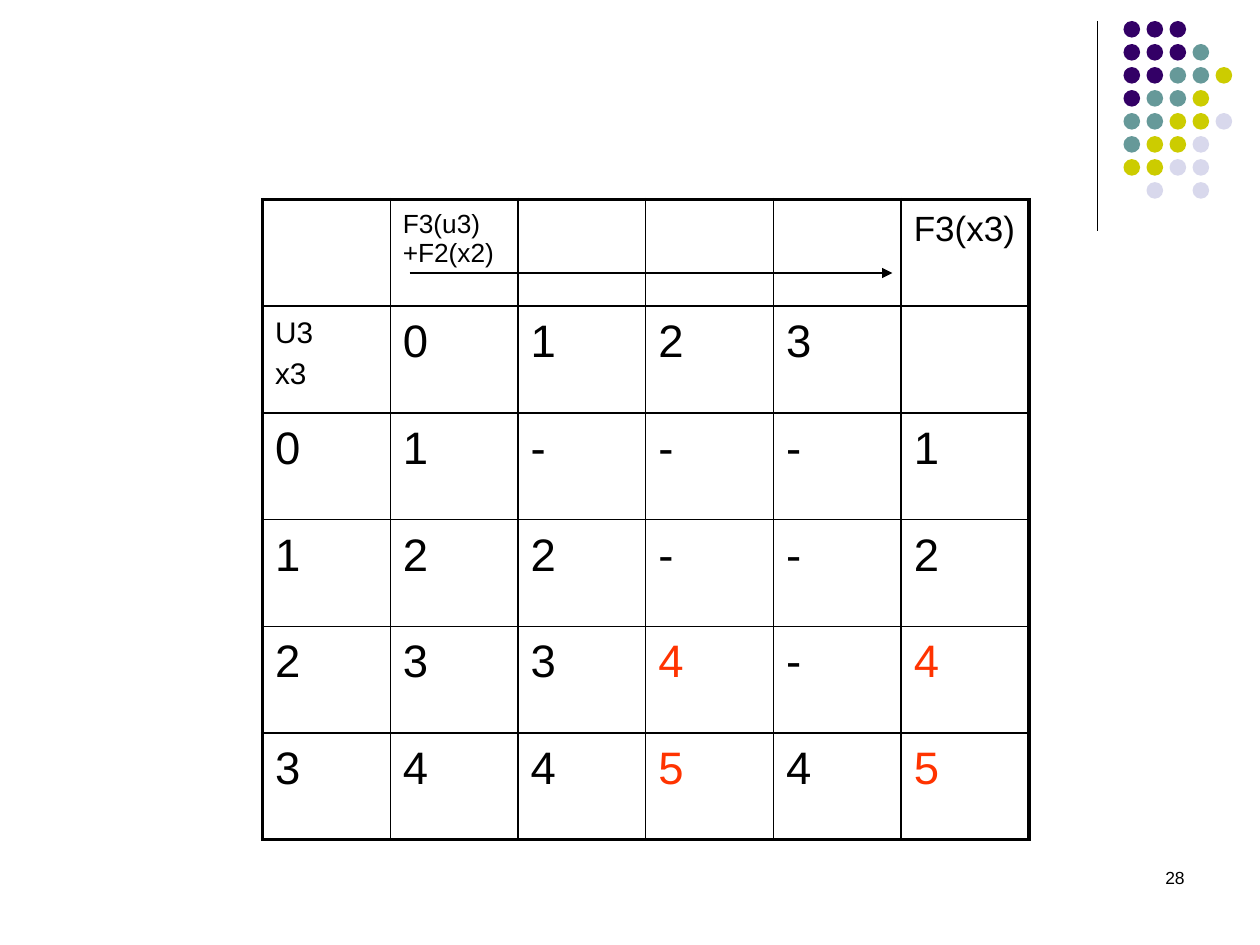
from dataclasses import dataclass
from itertools import product

from lxml.etree import SubElement as Sub
from pptx import Presentation
from pptx.dml.color import RGBColor as RGB
from pptx.enum.shapes import MSO_CONNECTOR as Link, MSO_SHAPE as Shape
from pptx.enum.text import PP_ALIGN as Align
from pptx.oxml.ns import qn
from pptx.util import Pt


@dataclass(frozen=True)
class Theme:
    """Colours, type sizes and line widths of the slide."""
    font: str = "Arial"
    ink: str = "000000"
    mark: str = "FF3300"
    dots: tuple = ("330066", "669999", "CCCC00", "D8D8EC")
    page: int = 10
    body: int = 26
    state: int = 17
    total: int = 20
    cost: int = 15
    thin: float = 0.75
    inner: float = 1
    outer: float = 2.25


THEME = Theme()
DOTS = ("000", "0001", "00112", "0112", "11223", "1223", "2233", " 3 3")
CELLS = (
    ("", "F3(u3) +F2(x2)", "", "", "", "F3(x3)"),
    ("U3\nx3", "0", "1", "2", "3", ""),
    ("0", "1", "-", "-", "-", "1"),
    ("1", "2", "2", "-", "-", "2"),
    ("2", "3", "3", "4", "-", "4"),
    ("3", "4", "4", "5", "4", "5"),
)
SIZES = {(0, 1): THEME.cost, (0, 5): THEME.total, (1, 0): THEME.state}
MARKED = set(product((4, 5), (3, 5)))


def style(frame, size, color=THEME.ink):
    """Format all paragraphs of a text frame."""
    for par in frame.paragraphs:
        par.font.name = THEME.font
        par.font.size = Pt(size)
        par.font.color.rgb = RGB.from_string(color)


def rule(slide, x1, y1, x2, y2, head=False):
    """Draw a thin line, with an arrowhead at its end if asked."""
    line = slide.shapes.add_connector(Link.STRAIGHT, Pt(x1), Pt(y1), Pt(x2), Pt(y2))
    line.line.color.rgb = RGB.from_string(THEME.ink)
    line.line.width = Pt(THEME.thin)
    props = line._element.spPr
    if head:
        Sub(props.find(qn("a:ln")), qn("a:tailEnd"), type="triangle")
    Sub(props, qn("a:effectLst"))


def corner(slide, x, y, high):
    """Draw the upright rule and the dot pattern beside it."""
    rule(slide, x, y, x, y + high)
    group = slide.shapes.add_group_shape()
    step, size = 13.15, 9.5
    for row, codes in enumerate(DOTS):
        for col, code in enumerate(codes):
            if code == " ":
                continue
            dot = group.shapes.add_shape(
                Shape.OVAL, Pt(x + 15 + col * step), Pt(y + row * step), Pt(size), Pt(size))
            dot.shadow.inherit = False
            dot.fill.solid()
            dot.fill.fore_color.rgb = RGB.from_string(THEME.dots[int(code)])
            dot.line.fill.background()


def border(cell, row, col):
    """Give a cell thin inner borders and thick outer ones."""
    props = cell._tc.get_or_add_tcPr()
    last_row, last_col = len(CELLS) - 1, len(CELLS[0]) - 1
    edges = {"L": col == 0, "R": col == last_col, "T": row == 0, "B": row == last_row}
    for side, edge in edges.items():
        width = Pt(THEME.outer if edge else THEME.inner)
        line = Sub(props, qn("a:ln" + side), w=str(width))
        Sub(Sub(line, qn("a:solidFill")), qn("a:srgbClr"), val=THEME.ink)


def grid(slide, x, y, wide, high):
    """Place the table of costs and the arrow across its top row."""
    rows, cols = len(CELLS), len(CELLS[0])
    table = slide.shapes.add_table(rows, cols, Pt(x), Pt(y), Pt(wide), Pt(high)).table
    table.first_row = table.horz_banding = False
    for row, col in product(range(rows), range(cols)):
        cell = table.cell(row, col)
        border(cell, row, col)
        cell.fill.background()
        cell.margin_left = cell.margin_right = Pt(7.2)
        cell.margin_top, cell.margin_bottom = Pt(6), Pt(3.6)
        cell.text_frame.text = CELLS[row][col]
        color = THEME.mark if (row, col) in MARKED else THEME.ink
        style(cell.text_frame, SIZES.get((row, col), THEME.body), color)
        for par in cell.text_frame.paragraphs[1:]:
            par.space_before = Pt(4.2)
    step = wide / cols
    rule(slide, x + step + 11, y + 42, x + 5 * step - 5, y + 42, head=True)


def number(slide, x, y, wide, high):
    """Write the page number at the right of its box."""
    frame = slide.shapes.add_textbox(Pt(x), Pt(y), Pt(wide), Pt(high)).text_frame
    frame.word_wrap = True
    frame.text = "28"
    frame.paragraphs[0].alignment = Align.RIGHT
    style(frame, THEME.page)


def main():
    """Build the slide and save it."""
    deck = Presentation()
    deck.slide_width, deck.slide_height = Pt(720), Pt(540)
    slide = deck.slides.add_slide(deck.slide_layouts[6])
    corner(slide, 627, 12, 120)
    grid(slide, 150, 114, 438, 366)
    number(slide, 516, 492, 168, 35)
    deck.save("out.pptx")


if __name__ == "__main__":
    main()
